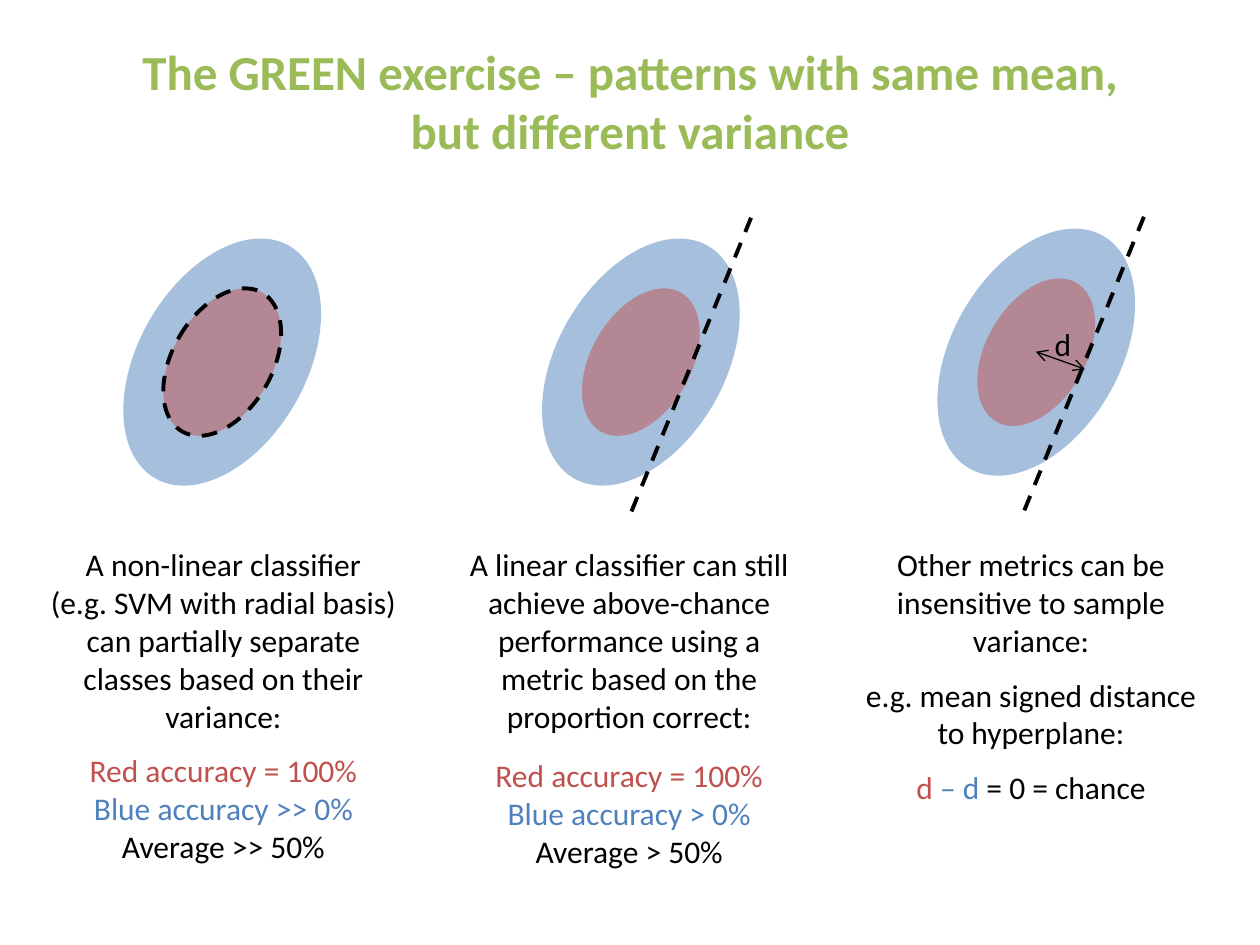
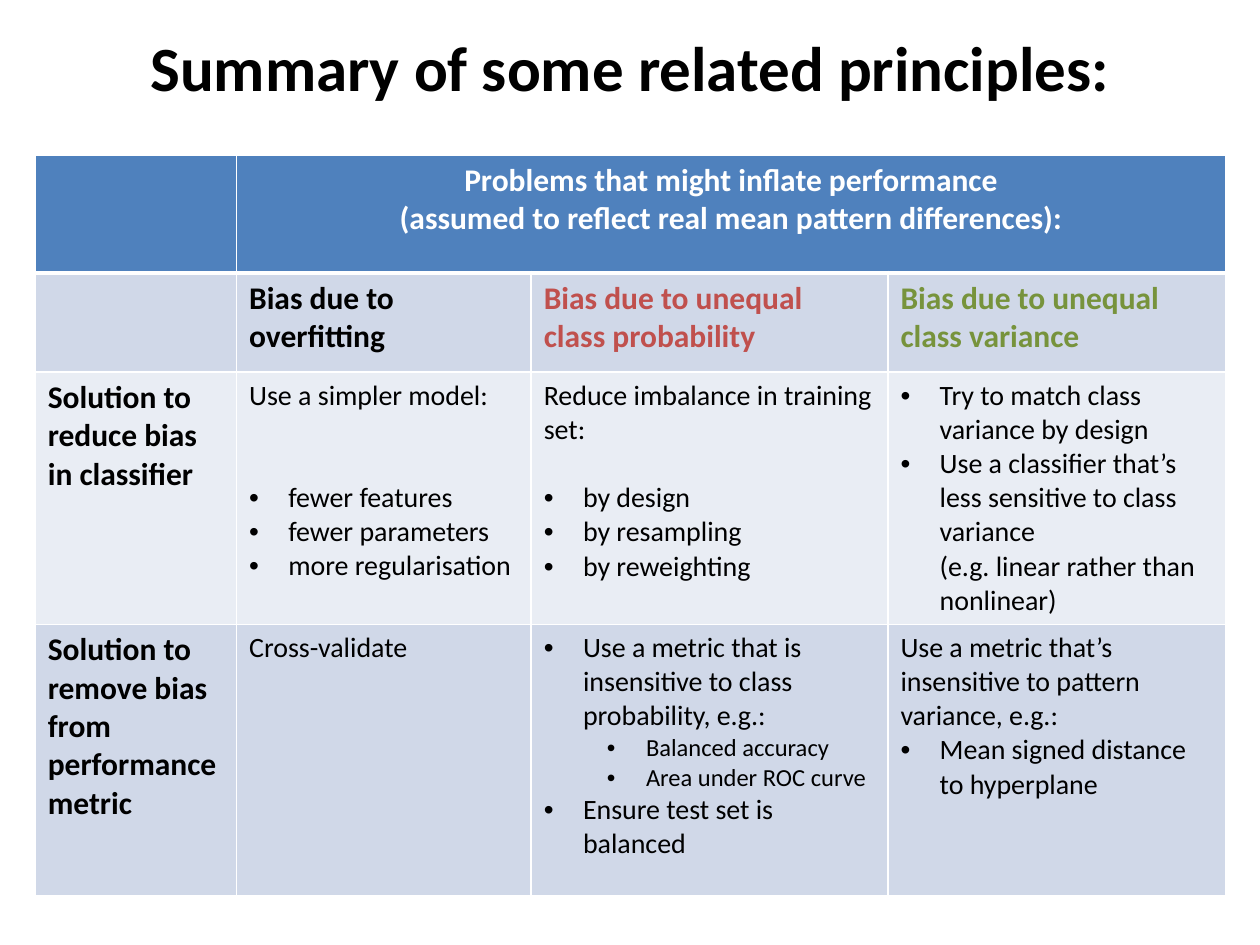
from lxml import etree
from pptx import Presentation
from pptx.dml.color import RGBColor
from pptx.enum.dml import MSO_LINE
from pptx.enum.shapes import MSO_CONNECTOR, MSO_SHAPE
from pptx.enum.text import MSO_ANCHOR, PP_ALIGN
from pptx.oxml.ns import qn
from pptx.util import Cm, Pt

OVAL, STRAIGHT, DASH = MSO_SHAPE.OVAL, MSO_CONNECTOR.STRAIGHT, MSO_LINE.DASH
LEFT, CENTER, MIDDLE = PP_ALIGN.LEFT, PP_ALIGN.CENTER, MSO_ANCHOR.MIDDLE

COLORS = {
    "black": "000000", "white": "FFFFFF", "green": "9BBB59",
    "dark_green": "77933C", "blue": "4F81BD", "red": "C0504D",
    "band": "D0D8E8", "light_band": "E9EDF4",
}
FONT = "Calibri"
TITLE_ONLY = 5


def rgb(name):
    return RGBColor.from_string(COLORS[name])


class Deck:
    """Holds the style and the current slide."""

    def __init__(self):
        self.prs = Presentation()
        self.prs.slide_width, self.prs.slide_height = Cm(25.4), Cm(19.05)
        self.s = None

    def format(self, p, size, color, bold=False, align=LEFT):
        p.alignment = align
        for r in p.runs:
            r.font.name, r.font.size, r.font.bold = FONT, Pt(size), bold
            r.font.color.rgb = rgb(color)

    def slide(self, title, top, height, size, color):
        self.s = self.prs.slides.add_slide(self.prs.slide_layouts[TITLE_ONLY])
        sp = self.s.shapes.title
        sp.left, sp.top, sp.width, sp.height = 0, Cm(top), Cm(25.4), Cm(height)
        tf = sp.text_frame
        tf.text, tf.vertical_anchor = title, MIDDLE
        self.format(tf.paragraphs[0], size, color, True, CENTER)

    def text(self, x, y, w, h, paras, gap=3.6, wrap=True, align=CENTER, after=6):
        """Each paragraph is a list of (text, color); gap is the space before."""
        tf = self.s.shapes.add_textbox(Cm(x), Cm(y), Cm(w), Cm(h)).text_frame
        tf.word_wrap = wrap
        for i, parts in enumerate(paras):
            p = tf.add_paragraph() if i else tf.paragraphs[0]
            p.space_before, p.space_after = Pt(gap if i else 0), Pt(after)
            for part, _ in parts:
                p.add_run().text = part.rstrip("\n")
                if part.endswith("\n"):
                    p.add_line_break()
            self.format(p, 18, "black", align=align)
            for r, (_, color) in zip(p.runs, parts):
                r.font.color.rgb = rgb(color)

    def ellipse(self, cx, cy, w, h, fill=None):
        """A tilted ellipse: half transparent, or a dashed outline."""
        sp = self.s.shapes.add_shape(
            OVAL, Cm(cx - w / 2), Cm(cy - h / 2), Cm(w), Cm(h))
        sp.rotation, sp.shadow.inherit = 30, False
        if fill:
            sp.fill.solid()
            sp.fill.fore_color.rgb = rgb(fill)
            color = sp._element.spPr.find(qn("a:solidFill"))[0]
            etree.SubElement(color, qn("a:alpha"), val="50000")
            sp.line.fill.background()
        else:
            sp.fill.background()
            self.stroke(sp.line, 2.25, True)

    def stroke(self, line, width, dashed):
        line.width, line.color.rgb = Pt(width), rgb("black")
        if dashed:
            line.dash_style = DASH

    def line(self, x1, y1, x2, y2, width=2.25, dashed=True, arrows=False):
        c = self.s.shapes.add_connector(STRAIGHT, Cm(x1), Cm(y1), Cm(x2), Cm(y2))
        self.stroke(c.line, width, dashed)
        pr = c._element.spPr
        if arrows:
            for end in ("a:headEnd", "a:tailEnd"):
                etree.SubElement(pr.find(qn("a:ln")), qn(end), type="arrow")
        etree.SubElement(pr, qn("a:effectLst"))

    def borders(self, cell, top, bottom):
        pr = cell._tc.get_or_add_tcPr()
        for side, width in zip("LRTB", (1, 1, top, bottom)):
            ln = etree.SubElement(pr, qn(f"a:ln{side}"), w=str(Pt(width)))
            fill = etree.SubElement(ln, qn("a:solidFill"))
            etree.SubElement(fill, qn("a:srgbClr"), val=COLORS["white"])

    def bullet(self, p, level):
        p.level = level - 1
        pr = p._p.get_or_add_pPr()
        pr.set("marL", str(Cm(0.79 + 1.27 * (level - 1))))
        pr.set("indent", str(-Cm(0.79)))
        etree.SubElement(pr, qn("a:buFont"), typeface="Arial")
        etree.SubElement(pr, qn("a:buChar"), char="•")

    def cell(self, cell, paras, fill, color, bold, align):
        """Each paragraph is (bullet level, text) with an optional space before."""
        tf = cell.text_frame
        for i, (level, text, *gap) in enumerate(paras):
            p = tf.add_paragraph() if i else tf.paragraphs[0]
            p.text = text
            if level:
                self.bullet(p, level)
            if gap:
                p.space_before = Pt(gap[0])
            size = 18 if bold else 14 if level == 2 else 16
            self.format(p, size, color, bold, align)
        cell.fill.solid()
        cell.fill.fore_color.rgb = rgb(fill)

    def table(self, x, y, widths, heights, rows, fills, head_colors):
        tbl = self.s.shapes.add_table(
            len(rows), len(widths), Cm(x), Cm(y),
            Cm(sum(widths)), Cm(sum(heights))).table
        tbl.first_row = tbl.horz_banding = False
        for col, w in zip(tbl.columns, widths):
            col.width = Cm(w)
        for row, h in zip(tbl.rows, heights):
            row.height = Cm(h)
        tbl.cell(0, 1).merge(tbl.cell(0, len(widths) - 1))
        for i, row in enumerate(rows):
            for j, paras in enumerate(row):
                c = tbl.cell(i, j)
                self.borders(c, 3 if i == 1 else 1, 3 if i == 0 else 1)
                color = ("white" if i == 0 else
                         head_colors[j] if i == 1 else "black")
                self.cell(c, paras, fills[i], color, i < 2 or j == 0,
                          CENTER if i == 0 else LEFT)


def scores(red, blue, average):
    return [(red + "\n", "red"), (blue + "\n", "blue"), (average, "black")]


def variance_slide(deck):
    deck.slide("The GREEN exercise – patterns with same mean,\v"
               "but different variance", 0.74, 2.57, 28, "green")

    # Explanations under the diagrams
    columns = [
        (0.71, 3.6, [
            [("A non-linear classifier\n", "black"),
             ("(e.g. SVM with radial basis) can partially separate "
              "classes based on their variance:", "black")],
            scores("Red accuracy = 100%", "Blue accuracy >> 0%",
                   "Average >> 50%")]),
        (8.89, 6.3, [
            [("A linear classifier can still achieve above-chance performance "
              "using a metric based on the proportion correct:", "black")],
            scores("Red accuracy = 100%", "Blue accuracy > 0%",
                   "Average > 50%")]),
        (16.99, 3.6, [
            [("Other metrics can be insensitive to sample variance:", "black")],
            [("e.g. mean signed distance to hyperplane:", "black")],
            [("d ", "red"), ("– d", "blue"), (" = 0 = chance", "black")]]),
    ]
    for x, gap, paras in columns:
        deck.text(x, 10.87, 7.59, 8.15, paras, gap)

    # Two classes with the same mean
    centers = [(4.48, 7.3), (12.92, 7.3), (20.89, 7.1)]
    inner = (2.01, 3.23)
    for cx, cy in centers:
        deck.ellipse(cx, cy, 3.38, 5.41, "blue")
        deck.ellipse(cx, cy, *inner, "red")

    # Decision boundaries
    deck.ellipse(*centers[0], *inner)
    for x, y in ((12.73, 10.31), (20.65, 10.29)):
        deck.line(x, y, x + 2.41, y - 5.92)

    # Distance to the hyperplane
    deck.line(20.88, 7.09, 21.87, 7.44, 0.75, False, True)
    deck.text(21.01, 6.43, 0.86, 1.02, [[("d", "black")]],
              wrap=False, align=LEFT, after=0)


def summary_slide(deck):
    deck.slide("Summary of some related principles:", 0.15, 2.36, 36, "black")
    rows = [
        [[], [(0, "Problems that might inflate performance"),
              (0, "(assumed to reflect real mean pattern differences):")], [], []],
        [[], [(0, "Bias due to overfitting")],
         [(0, "Bias due to unequal\vclass probability")],
         [(0, "Bias due to unequal class variance")]],
        [[(0, "Solution to reduce bias\vin classifier")],
         [(0, "Use a simpler model:"), (1, "fewer features", 39),
          (1, "fewer parameters"), (1, "more regularisation")],
         [(0, "Reduce imbalance in training set:"), (1, "by design", 19.5),
          (1, "by resampling"), (1, "by reweighting")],
         [(1, "Try to match class variance by design"),
          (1, "Use a classifier that’s less sensitive to class variance\v"
              "(e.g. linear rather than nonlinear)")]],
        [[(0, "Solution to remove bias from performance metric")],
         [(0, "Cross-validate")],
         [(1, "Use a metric that is insensitive to class probability, e.g.:"),
          (2, "Balanced accuracy"), (2, "Area under ROC curve"),
          (1, "Ensure test set is balanced")],
         [(0, "Use a metric that’s insensitive to pattern variance, e.g.:"),
          (1, "Mean signed distance to hyperplane")]],
    ]
    deck.table(0.71, 3.12, [4.06, 5.94, 7.19, 6.81], [2.38, 2, 5.05, 5.48],
               rows, ["blue", "band", "light_band", "band"],
               ["black", "black", "red", "dark_green"])


def main():
    deck = Deck()
    variance_slide(deck)
    summary_slide(deck)
    deck.prs.save("out.pptx")


if __name__ == "__main__":
    main()
